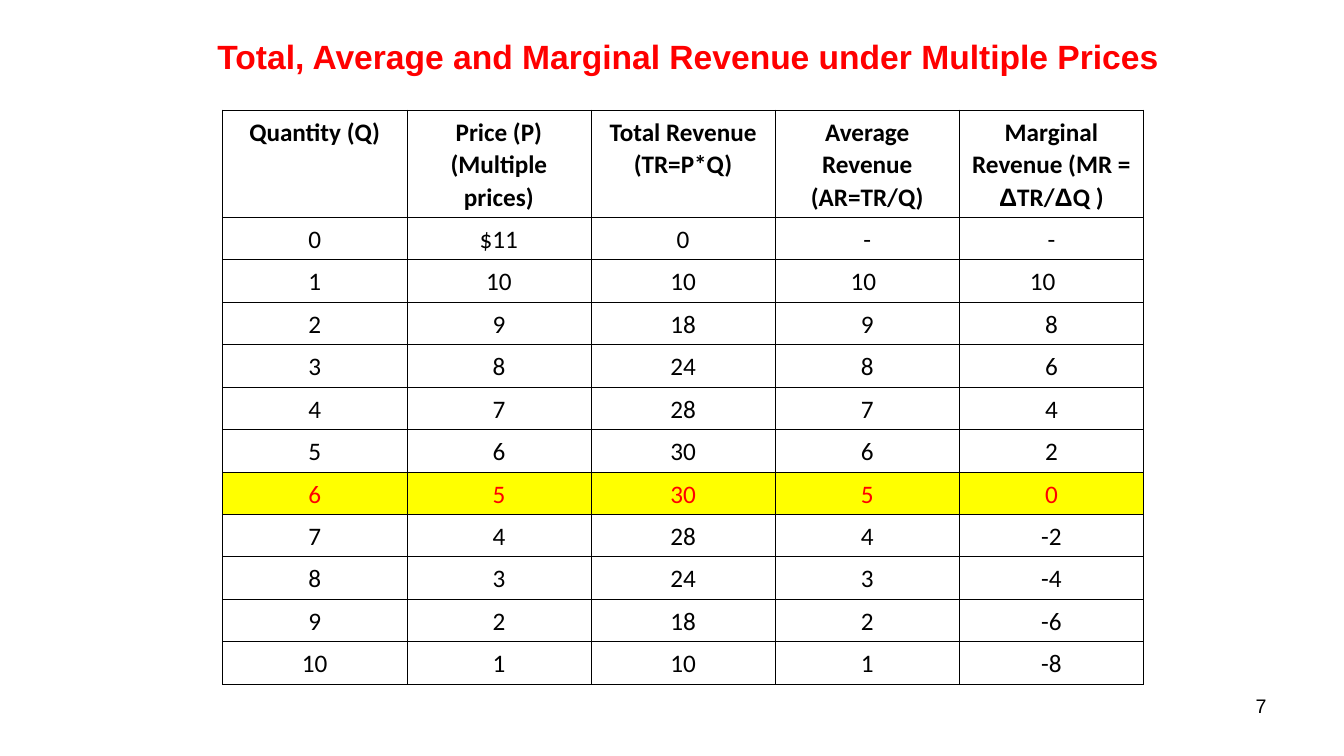
from lxml import etree
from pptx import Presentation
from pptx.dml.color import RGBColor
from pptx.enum import text
from pptx.oxml.ns import qn
from pptx.util import Inches, Pt

COLORS = {"black": "000000", "red": "FF0000", "yellow": "FFFF00"}
TITLE = "Total, Average and Marginal Revenue under Multiple Prices"
PAGE = "7"
# Each header is a list of paragraphs, each paragraph a list of runs.
HEADERS = [
    [["Quantity (Q)"]],
    [["Price (P)"], ["(Multiple prices)"]],
    [["Total Revenue (TR=P*Q)"]],
    [["Average Revenue (AR=TR/Q)"]],
    [["Marginal Revenue (MR = ", "Δ", "TR/", "Δ", "Q )"]],
]
ROWS = [
    ("0", "$11", "0", "-", "-"),
    ("1", "10", "10", "10", "10"),
    ("2", "9", "18", "9", "8"),
    ("3", "8", "24", "8", "6"),
    ("4", "7", "28", "7", "4"),
    ("5", "6", "30", "6", "2"),
    ("6", "5", "30", "5", "0"),
    ("7", "4", "28", "4", "-2"),
    ("8", "3", "24", "3", "-4"),
    ("9", "2", "18", "2", "-6"),
    ("10", "1", "10", "1", "-8"),
]
MAX_REVENUE_ROW = 7
LEFT_INDENTS = {(2, 3): 0.67, (2, 4): 0.62}  # (row, column): inches
TABLE_LEFT, TABLE_TOP, TABLE_W = 2.21, 1.09, 9.14
HEADER_H, ROW_H = 0.96, 0.41
ALIGN = text.PP_ALIGN


def add_run(p, words, size, font, color, bold=False):
    r = p.add_run()
    r.text = words
    r.font.size, r.font.name, r.font.bold = Pt(size), font, bold
    r.font.color.rgb = RGBColor.from_string(COLORS[color])


def add_label(s, box, words, size, color, align, bold=False):
    tf = s.shapes.add_textbox(*map(Inches, box)).text_frame
    tf.word_wrap = True
    p = tf.paragraphs[0]
    p.alignment = align
    add_run(p, words, size, "Arial", color, bold)


def set_borders(cell):
    tcPr = cell._tc.get_or_add_tcPr()
    for i, side in enumerate(("lnL", "lnR", "lnT", "lnB")):
        ln = etree.Element(qn("a:" + side), w=str(Pt(0.45)))
        fill = etree.SubElement(ln, qn("a:solidFill"))
        etree.SubElement(fill, qn("a:srgbClr"), val=COLORS["black"])
        tcPr.insert(i, ln)


def fill_cell(cell, paragraphs, color, bold, indent):
    """Write the paragraphs centred, or left-aligned when an indent is given."""
    cell.margin_left = cell.margin_right = Inches(0.08)
    cell.margin_top = cell.margin_bottom = Inches(0.05)
    tf = cell.text_frame
    for i, runs in enumerate(paragraphs):
        p = tf.add_paragraph() if i else tf.paragraphs[0]
        p.line_spacing = 1.07
        p.alignment = ALIGN.LEFT if indent else ALIGN.CENTER
        if indent:
            p._p.get_or_add_pPr().set("marL", str(Inches(indent)))
        for words in runs:
            font = "Arial" if words == "Δ" else "Calibri"
            add_run(p, words, 18, font, color, bold)


def add_revenue_table(s):
    grid = HEADERS, *[[[[value]] for value in row] for row in ROWS]
    height = HEADER_H + ROW_H * len(ROWS)
    table = s.shapes.add_table(
        len(grid), len(HEADERS), Inches(TABLE_LEFT), Inches(TABLE_TOP),
        Inches(TABLE_W), Inches(height)).table
    table.first_row = table.horz_banding = False
    for y, row in enumerate(grid):
        table.rows[y].height = Inches(ROW_H if y else HEADER_H)
        peak = y == MAX_REVENUE_ROW
        for x, paragraphs in enumerate(row):
            cell = table.cell(y, x)
            fill_cell(cell, paragraphs, "red" if peak else "black",
                      y == 0, LEFT_INDENTS.get((y, x)))
            if peak:
                cell.fill.solid()
                cell.fill.fore_color.rgb = RGBColor.from_string(COLORS["yellow"])
            else:
                cell.fill.background()
            set_borders(cell)


def main():
    prs = Presentation()
    prs.slide_width, prs.slide_height = Inches(13.34), Inches(7.5)
    s = prs.slides.add_slide(prs.slide_layouts[6])
    add_label(s, (9.56, 6.83, 3.11, 0.52), PAGE, 14, "black", ALIGN.RIGHT)
    add_revenue_table(s)
    add_label(s, (2.06, 0.31, 9.61, 0.5), TITLE, 24, "red", ALIGN.LEFT, True)
    prs.save("out.pptx")


if __name__ == "__main__":
    main()
